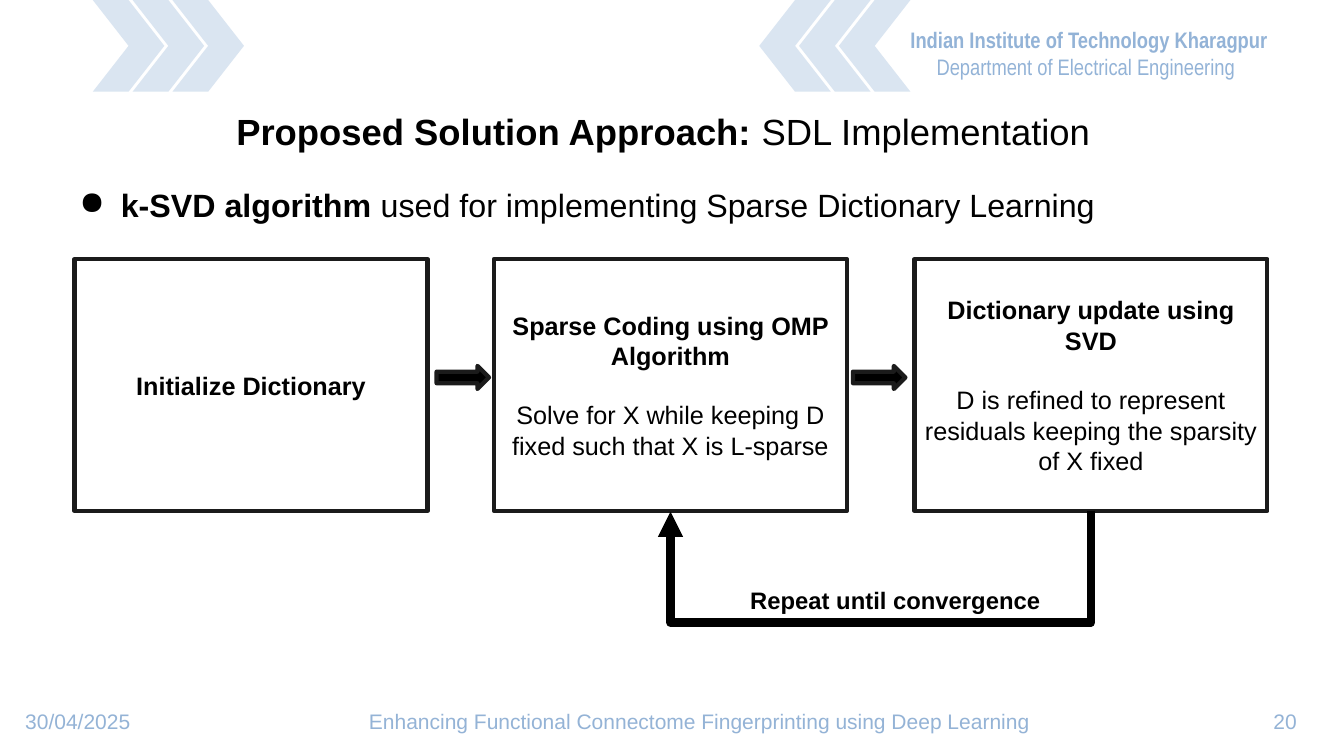
from dataclasses import dataclass

from lxml import etree
from pptx import Presentation
from pptx import util as u
from pptx.dml.color import RGBColor
from pptx.enum import shapes, text
from pptx.oxml.ns import qn


@dataclass(frozen=True)
class Theme:
    ink: RGBColor = RGBColor(0, 0, 0)
    outline: RGBColor = RGBColor(0x1B, 0x1B, 0x1B)
    paper: RGBColor = RGBColor(0xFF, 0xFF, 0xFF)
    pale: RGBColor = RGBColor(0xDA, 0xE5, 0xF1)
    header: RGBColor = RGBColor(0x93, 0xB3, 0xD7)
    footer: RGBColor = RGBColor(0x94, 0xB3, 0xD6)
    font: str = "Arial"
    header_font: str = "Arial Narrow"
    title_size: int = 26
    bullet_size: int = 23
    step_size: int = 18
    loop_size: int = 17
    header_size: int = 16
    footer_size: int = 15
    outline_width: int = 3
    loop_width: int = 6


@dataclass(frozen=True)
class Step:
    left: float
    heading: str
    detail: str = ""


THEME = Theme()
CENTER = text.PP_ALIGN.CENTER
STEP_TOP, STEP_WIDTH, STEP_HEIGHT = 2.57, 3.5, 2.5
STEPS = (
    Step(0.74, "Initialize Dictionary"),
    Step(4.9, "Sparse Coding using OMP Algorithm",
         "Solve for X while keeping D fixed such that X is L-sparse"),
    Step(9.07, "Dictionary update using SVD",
         "D is refined to represent residuals keeping the sparsity of X fixed"),
)


def add_run(paragraph, words: str, size: int, bold: bool = False,
            color: RGBColor = THEME.ink, font: str = THEME.font) -> None:
    run = paragraph.add_run()
    run.text = words
    run.font.size = u.Pt(size)
    run.font.bold = bold
    run.font.name = font
    run.font.color.rgb = color


def set_frame(frame, inset_x: float = 0.1, inset_y: float = 0.1,
              anchor=text.MSO_ANCHOR.TOP) -> None:
    frame.word_wrap = True
    frame.vertical_anchor = anchor
    frame.margin_left = frame.margin_right = u.Inches(inset_x)
    frame.margin_top = frame.margin_bottom = u.Inches(inset_y)


def add_text(slide, left: float, top: float, width: float, height: float,
             inset_x: float = 0.1, inset_y: float = 0.1,
             anchor=text.MSO_ANCHOR.TOP):
    box = slide.shapes.add_textbox(*map(u.Inches, (left, top, width, height)))
    set_frame(box.text_frame, inset_x, inset_y, anchor)
    return box.text_frame


def add_solid(slide, kind, left: float, top: float, width: float,
              height: float, fill: RGBColor, outlined: bool = False):
    shape = slide.shapes.add_shape(
        kind, *map(u.Inches, (left, top, width, height)))
    shape.shadow.inherit = False
    shape.fill.solid()
    shape.fill.fore_color.rgb = fill
    if outlined:
        shape.line.color.rgb = THEME.outline
        shape.line.width = u.Pt(THEME.outline_width)
    else:
        shape.line.fill.background()
    return shape


def add_header(slide) -> None:
    for first_left, rotation in ((0.92, 0), (7.53, 180)):
        for index in range(3):
            chevron = add_solid(slide, shapes.MSO_SHAPE.CHEVRON,
                                first_left + 0.395 * index, 0, 0.71, 0.91,
                                THEME.pale)
            chevron.rotation = rotation
    frame = add_text(slide, 8.87, 0.21, 3.8, 0.64, inset_y=0.05)
    institute, department = frame.paragraphs[0], frame.add_paragraph()
    institute.alignment = text.PP_ALIGN.RIGHT
    department.alignment = CENTER
    add_run(institute, "Indian Institute of Technology Kharagpur",
            THEME.header_size, True, THEME.header, THEME.header_font)
    add_run(department, "Department of Electrical Engineering",
            THEME.header_size, False, THEME.header, THEME.header_font)


def add_footer(slide) -> None:
    """Date, talk title and page number on one line, spread by tab stops."""
    line = add_text(slide, 0.25, 7.03, 12.84, 0.26, 0, 0).paragraphs[0]
    stops = etree.SubElement(line._p.get_or_add_pPr(), qn("a:tabLst"))
    for position in (3.41, 12.38):
        etree.SubElement(stops, qn("a:tab"),
                         pos=str(u.Inches(position)), algn="l")
    for words in (
            "30/04/2025",
            "\tEnhancing Functional Connectome Fingerprinting using Deep Learning",
            "\t20"):
        add_run(line, words, THEME.footer_size, color=THEME.footer)


def add_title(slide) -> None:
    title = add_text(slide, 0.54, 0.98, 12.08, 0.64).paragraphs[0]
    title.alignment = CENTER
    add_run(title, "Proposed Solution Approach: ", THEME.title_size, True)
    add_run(title, "SDL Implementation", THEME.title_size)


def add_bullet(slide) -> None:
    bullet = add_text(slide, 0.6, 1.74, 11.96, 0.64).paragraphs[0]
    properties = bullet._p.get_or_add_pPr()
    properties.set("marL", str(u.Inches(0.5)))
    properties.set("indent", str(u.Inches(-0.41)))
    etree.SubElement(properties, qn("a:buChar"), char="●")
    add_run(bullet, "k-SVD algorithm", THEME.bullet_size, True)
    add_run(bullet, " used for implementing Sparse Dictionary Learning",
            THEME.bullet_size)


def add_step(slide, step: Step) -> None:
    box = add_solid(slide, shapes.MSO_SHAPE.RECTANGLE, step.left, STEP_TOP,
                    STEP_WIDTH, STEP_HEIGHT, THEME.paper, outlined=True)
    frame = box.text_frame
    set_frame(frame, anchor=text.MSO_ANCHOR.MIDDLE)
    heading = frame.paragraphs[0]
    heading.alignment = CENTER
    add_run(heading, step.heading, THEME.step_size, True)
    if step.detail:
        detail = frame.add_paragraph()
        detail.alignment = CENTER
        detail.space_before = u.Pt(21)
        add_run(detail, step.detail, THEME.step_size)


def add_loop(slide, start: Step, end: Step) -> None:
    """Elbow arrow leaving the bottom of one step for the bottom of another."""
    span, drop, thickness = start.left - end.left, 1.13, 0.01
    middle = (start.left + end.left + STEP_WIDTH) / 2
    bottom = STEP_TOP + STEP_HEIGHT
    loop = slide.shapes.add_connector(
        shapes.MSO_CONNECTOR.ELBOW,
        *map(u.Inches, (middle - thickness / 2, bottom - span / 2,
                        middle + thickness / 2, bottom + span / 2)))
    loop.line.color.rgb = THEME.ink
    loop.line.width = u.Pt(THEME.loop_width)
    properties = loop._element.spPr
    properties.find(qn("a:xfrm")).set("rot", str(90 * 60000))
    guides = properties.find(qn("a:prstGeom")).find(qn("a:avLst"))
    etree.SubElement(guides, qn("a:gd"), name="adj1",
                     fmla=f"val {round(drop / thickness * 100000)}")
    etree.SubElement(properties.find(qn("a:ln")), qn("a:tailEnd"),
                     type="triangle")
    etree.SubElement(properties, qn("a:effectLst"))

    frame = add_text(slide, 6.84, 5.63, 3.81, 0.64,
                     anchor=text.MSO_ANCHOR.MIDDLE)
    frame.margin_left = u.Inches(0.6)
    add_run(frame.paragraphs[0], "Repeat until convergence",
            THEME.loop_size, True)


def main() -> None:
    deck = Presentation()
    deck.slide_width, deck.slide_height = u.Inches(13.33), u.Inches(7.5)
    slide = deck.slides.add_slide(deck.slide_layouts[6])
    add_header(slide)
    add_footer(slide)
    add_title(slide)
    add_bullet(slide)
    for step in STEPS:
        add_step(slide, step)
    for arrow_left in (4.33, 8.46):
        add_solid(slide, shapes.MSO_SHAPE.RIGHT_ARROW, arrow_left, 3.63,
                  0.52, 0.23, THEME.ink, outlined=True)
    add_loop(slide, STEPS[2], STEPS[1])
    deck.save("out.pptx")


if __name__ == "__main__":
    main()
